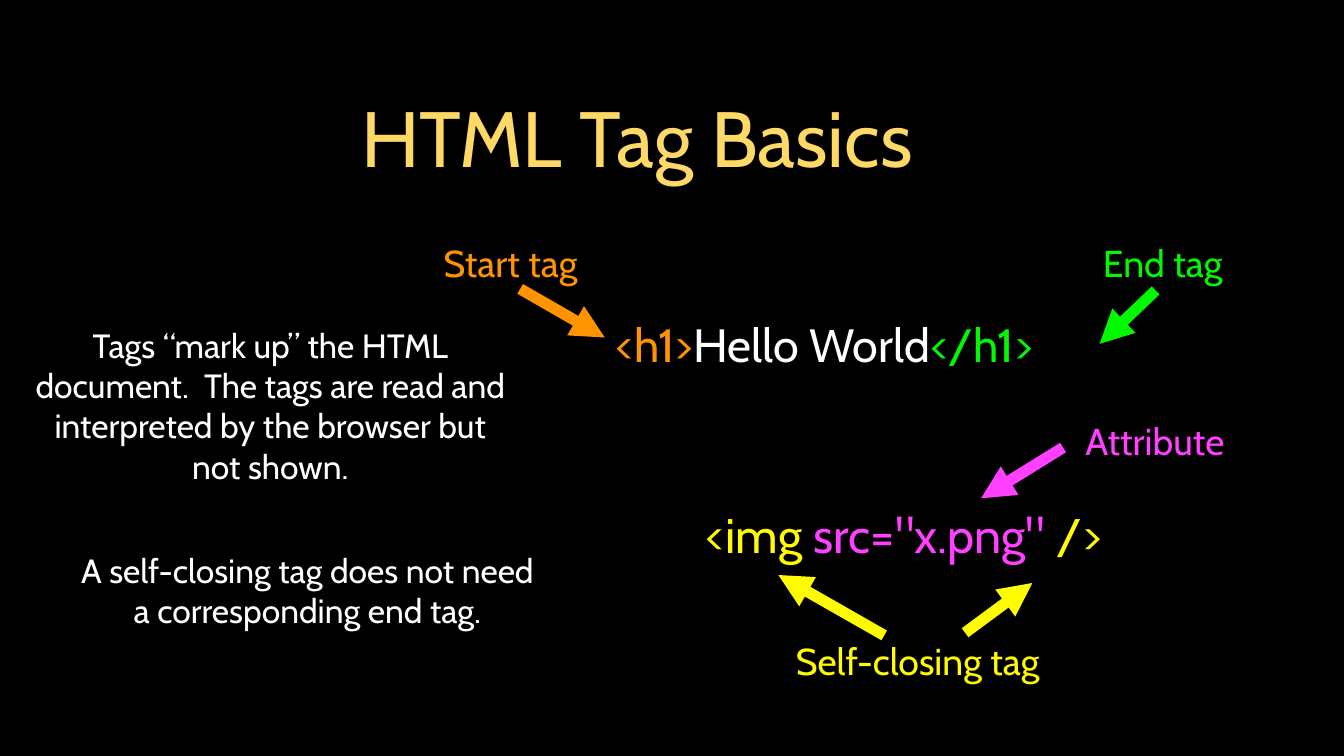
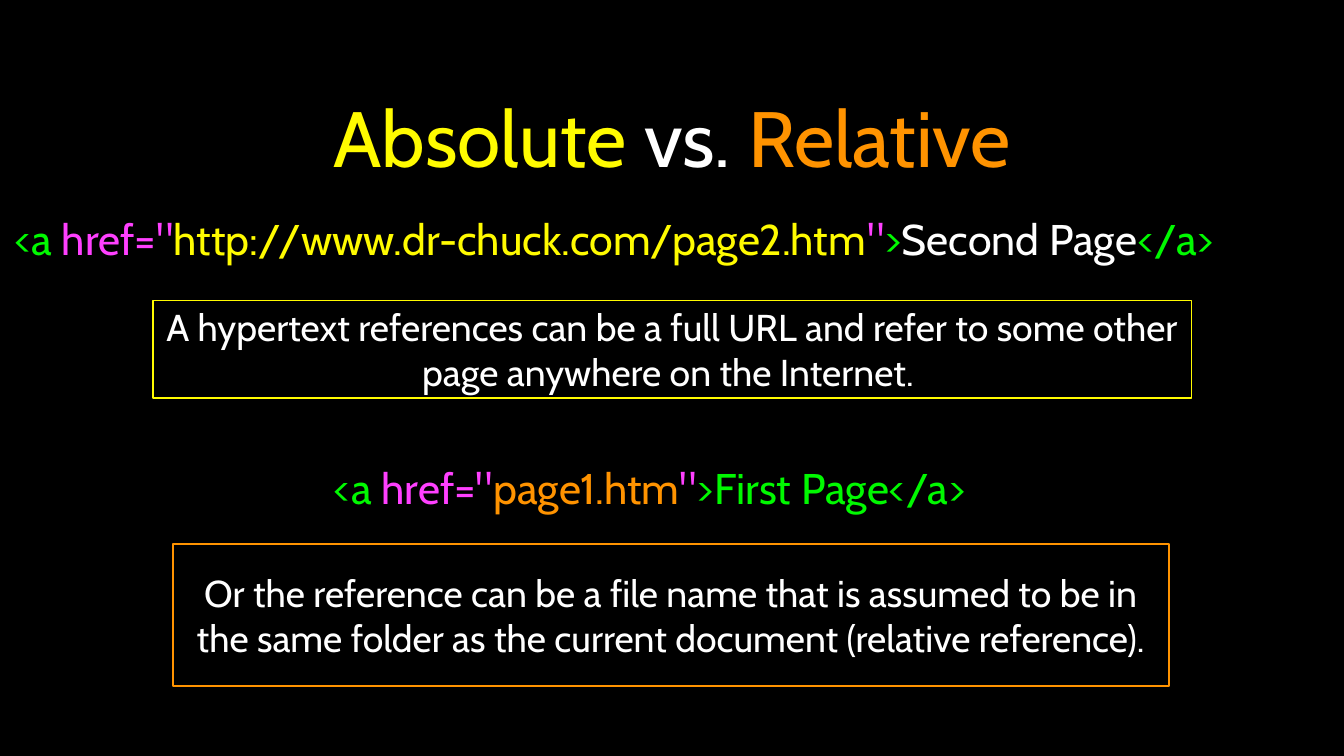
from dataclasses import dataclass

from lxml import etree
from pptx import Presentation
from pptx import util as u
from pptx.dml.color import RGBColor
from pptx.enum import shapes, text
from pptx.oxml.ns import qn


@dataclass(frozen=True)
class Theme:
    """Hold the colours, font and type sizes of the deck."""
    font: str = "Cabin"
    black: str = "000000"
    white: str = "FFFFFF"
    gold: str = "FFD966"
    yellow: str = "FFFB00"
    orange: str = "FF9300"
    green: str = "00F900"
    pink: str = "FF40FF"
    title: int = 42
    label: int = 20
    note: int = 18
    arrow: int = 6
    frame: int = 1


T = Theme()
LEFT, MID = text.PP_ALIGN.LEFT, text.PP_ALIGN.CENTER


def rgb(hue):
    """Turn a hex string into a colour."""
    return RGBColor.from_string(hue)


def write(shape, runs, size, align=MID, pad=0.08):
    """Write coloured runs as one paragraph, centred in height."""
    frame = shape.text_frame
    frame.word_wrap = True
    frame.vertical_anchor = text.MSO_ANCHOR.MIDDLE
    frame.margin_left = frame.margin_right = u.Cm(pad)
    frame.margin_top = frame.margin_bottom = u.Cm(pad)
    para = frame.paragraphs[0]
    para.alignment = align
    for words, hue in runs:
        run = para.add_run()
        run.text = words
        run.font.name = T.font
        run.font.size = u.Pt(size)
        run.font.color.rgb = rgb(hue)


def box(slide, place, runs, size, align=MID, pad=0.08):
    """Add a text box at left, top, width, height."""
    shape = slide.shapes.add_textbox(*map(u.Cm, place))
    write(shape, runs, size, align, pad)


def title(slide, width, runs):
    """Add the slide title."""
    box(slide, (2.36, 1.19, width, 2.77), runs, T.title, pad=0.15)


def code(slide, place, runs, size):
    """Add a line of coloured markup."""
    box(slide, place, runs, size, LEFT)


def label(slide, left, top, width, words, hue):
    """Add the name of a part of a tag."""
    box(slide, (left, top, width, 1.02), [(words, hue)], T.label)


def note(slide, left, top, high, words):
    """Add an explanation in the left column."""
    box(slide, (left, top, 9.12, high), [(words, T.white)], T.note)


def rect(slide, place):
    """Add a plain rectangle without shadow."""
    shape = slide.shapes.add_shape(
        shapes.MSO_SHAPE.RECTANGLE, *map(u.Cm, place))
    shape.shadow.inherit = False
    return shape


def band(slide, top):
    """Add a black band across the slide."""
    shape = rect(slide, (0, top, 25.4, 1.02))
    shape.fill.solid()
    shape.fill.fore_color.rgb = rgb(T.black)
    shape.line.fill.background()


def panel(slide, place, words, hue):
    """Add an explanation in a coloured frame."""
    shape = rect(slide, place)
    shape.fill.background()
    shape.line.color.rgb = rgb(hue)
    shape.line.width = u.Pt(T.frame)
    write(shape, [(words, T.white)], T.label)


def arrow(slide, tip, tail, hue):
    """Draw a thick arrow that points at tip."""
    line = slide.shapes.add_connector(
        shapes.MSO_CONNECTOR.STRAIGHT, *map(u.Cm, tip + tail))
    line.line.color.rgb = rgb(hue)
    line.line.width = u.Pt(T.arrow)
    head = etree.SubElement(line.line._get_or_add_ln(), qn("a:headEnd"))
    head.set("type", "triangle")
    etree.SubElement(line._element.spPr, qn("a:effectLst"))


def page(deck):
    """Add a black slide with its two bands."""
    slide = deck.slides.add_slide(deck.slide_layouts[6])
    fill = slide.background.fill
    fill.solid()
    fill.fore_color.rgb = rgb(T.black)
    for top in (-0.05, 13.26):
        band(slide, top)
    return slide


def basics(deck):
    """Build the slide on the parts of a tag."""
    slide = page(deck)
    title(slide, 19.02, [(" HTML Tag Basics", T.gold)])
    code(slide, (11.55, 5.89, 9.45, 1.22), [
        ("<h1>", T.orange), ("Hello World", T.white), ("</h1>", T.green)], 25)
    code(slide, (13.26, 8.92, 7.9, 2.36), [
        ("<img ", T.yellow), ('src="x.png" ', T.pink), ("/>", T.yellow)], 26)

    for item in (
        (8.14, 4.46, 3.02, "Start tag", T.orange),
        (20.63, 4.46, 2.69, "End tag", T.green),
        (14.74, 11.98, 5.21, "Self-closing tag", T.yellow),
        (20.27, 7.82, 3.12, "Attribute", T.pink),
    ):
        label(slide, *item)

    for item in (
        ((11.43, 6.38), (9.83, 5.46), T.orange),
        ((20.78, 6.5), (21.84, 5.49), T.green),
        ((18.54, 9.42), (20.09, 8.46), T.pink),
        ((14.71, 10.87), (16.71, 12.01), T.yellow),
        ((19.51, 11.02), (18.24, 11.96), T.yellow),
    ):
        arrow(slide, *item)

    note(slide, 1.25, 9.93, 2.44,
         "A self-closing tag does not need a corresponding end tag.")
    note(slide, 0.55, 6.06, 3.2,
         "Tags “mark up” the HTML document.  The tags are read and "
         "interpreted by the browser but not shown.")


def links(deck):
    """Build the slide on absolute and relative links."""
    slide = page(deck)
    title(slide, 20.68, [
        ("Absolute ", T.yellow), ("vs.", T.white), (" Relative", T.orange)])
    start = [("<a ", T.green), ('href="', T.pink)]
    code(slide, (6.23, 8.15, 12.93, 2.11), start + [
        ("page1.htm", T.orange), ('"', T.pink),
        (">First Page</a>", T.green)], 23)
    code(slide, (0.19, 3.94, 25.21, 1.14), start + [
        ("http://www.dr-chuck.com/page2.htm", T.yellow), ('"', T.pink),
        (">", T.green), ("Second Page", T.white), ("</a>", T.green)], 23)
    panel(slide, (2.89, 5.68, 19.63, 1.85),
          "A hypertext references can be a full URL and refer to some "
          "other page anywhere on the Internet. ", T.yellow)
    panel(slide, (3.27, 10.28, 18.82, 2.69),
          "Or the reference can be a file name that is assumed to be in "
          "the same folder as the current document (relative reference).",
          T.orange)


def main():
    """Build the deck and save it."""
    deck = Presentation()
    deck.slide_width, deck.slide_height = u.Cm(25.4), u.Cm(14.29)
    basics(deck)
    links(deck)
    deck.save("out.pptx")


if __name__ == "__main__":
    main()
